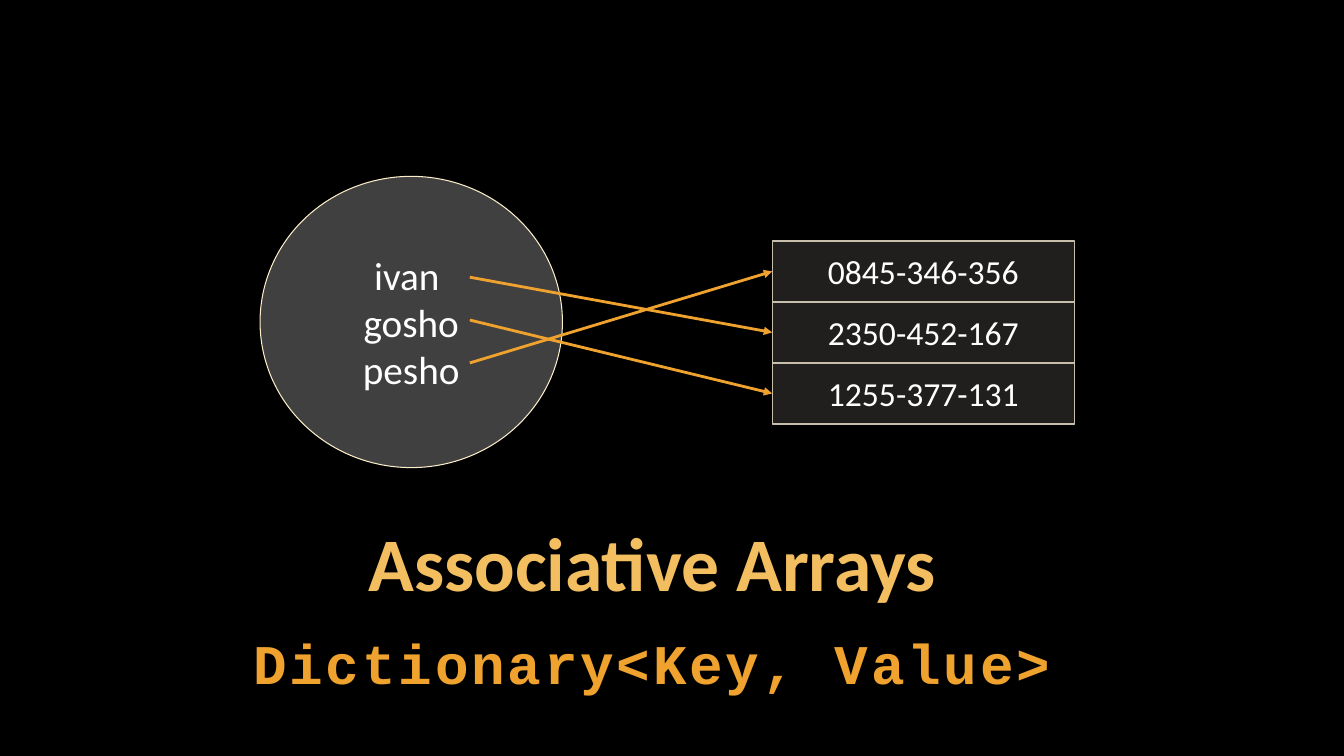
"""Build the slide on associative arrays: names mapped to phone numbers."""
from dataclasses import dataclass

from lxml.etree import SubElement
from pptx import Presentation
from pptx.dml.color import RGBColor as Rgb
from pptx.enum.shapes import MSO_CONNECTOR as Connector, MSO_SHAPE as Preset
from pptx.enum.text import MSO_ANCHOR as Anchor, MSO_AUTO_SIZE as AutoSize, PP_ALIGN as Align
from pptx.oxml.ns import qn
from pptx.util import Inches, Pt

SLIDE_W, SLIDE_H = Inches(13.33), Inches(7.5)
SECTION_LAYOUT = 2
KEYS = ["ivan ", "gosho", "pesho"]
VALUES = ["0845-346-356", "2350-452-167", "1255-377-131"]
VALUE_OF_KEY = [1, 2, 0]

HEADING_X, HEADING_W = 11.85, 73.37
COLUMN_W, VALUES_X = 22.5, 57.46
VALUES_Y, VALUE_H = 31.87, 8.07
KEYS_Y, KEY_STEP = 36.67, 5.67


@dataclass(frozen=True)
class Theme:
    """Colours, fonts and type sizes of the slide."""
    background: str = "000000"
    title: str = "F3BE60"
    accent: str = "F0A22E"
    text: str = "FFFFFF"
    key_fill: str = "808080"
    key_line: str = "FBEEC9"
    value_fill: str = "D9D5C7"
    value_line: str = "C7BFAC"
    sans: str = "Calibri"
    mono: str = "Courier New"
    title_size: int = 54
    code_size: int = 40
    key_size: int = 28
    value_size: int = 24


THEME = Theme()


def across(percent):
    """Return a share of the slide's width."""
    return round(SLIDE_W * percent / 100)


def down(percent):
    """Return a share of the slide's height."""
    return round(SLIDE_H * percent / 100)


def write(frame, lines, size, color, face=THEME.sans, bold=False):
    """Fill a text frame with centred lines of one style."""
    frame.word_wrap = True
    frame.auto_size = AutoSize.NONE
    frame.text = "\n".join(lines)
    for paragraph in frame.paragraphs:
        paragraph.alignment = Align.CENTER
        font = paragraph.font
        font.name, font.size, font.bold = face, Pt(size), bold
        font.color.rgb = Rgb.from_string(color)


def set_insets(frame, side, edge):
    """Set the side and the top and bottom margins in inches."""
    frame.margin_left = frame.margin_right = Inches(side)
    frame.margin_top = frame.margin_bottom = Inches(edge)


def fill_heading(placeholder, top, height, anchor, line, style, spacing, trait):
    """Move a heading placeholder, write its line and return the paragraph."""
    placeholder.left, placeholder.top = across(HEADING_X), down(top)
    placeholder.width, placeholder.height = across(HEADING_W), down(height)
    frame = placeholder.text_frame
    write(frame, [line], *style, bold=True)
    set_insets(frame, 0.04, 0.04)
    frame.vertical_anchor = anchor
    paragraph = frame.paragraphs[0]
    paragraph.line_spacing = spacing
    paragraph.space_before = Pt(0)
    paragraph.runs[0]._r.get_or_add_rPr().set(*trait)
    return paragraph


def add_panel(slide, preset, box, fill, opacity, outline, weight):
    """Add a translucent outlined shape and return its text frame."""
    x, y, width, height = box
    panel = slide.shapes.add_shape(preset, across(x), down(y), across(width), down(height))
    panel.shadow.inherit = False
    panel.fill.solid()
    panel.fill.fore_color.rgb = Rgb.from_string(fill)
    tint = panel._element.spPr.find(qn("a:solidFill"))[0]
    SubElement(tint, qn("a:alpha")).set("val", str(opacity * 1000))
    panel.line.color.rgb = Rgb.from_string(outline)
    panel.line.width = Pt(weight)
    return panel.text_frame


def add_arrow(slide, start_y, end_y):
    """Link a key's height to a value's height with an arrow."""
    arrow = slide.shapes.add_connector(
        Connector.STRAIGHT, across(VALUES_X - COLUMN_W), down(start_y), across(VALUES_X), down(end_y))
    arrow.line.color.rgb = Rgb.from_string(THEME.accent)
    arrow.line.width = Pt(2)
    SubElement(arrow.line._get_or_add_ln(), qn("a:tailEnd")).set("type", "triangle")
    SubElement(arrow._element.spPr, qn("a:effectLst"))


def add_value(slide, row, number):
    """Add one phone number cell of the value column."""
    box = (VALUES_X, VALUES_Y + row * VALUE_H, COLUMN_W, VALUE_H)
    frame = add_panel(slide, Preset.RECTANGLE, box, THEME.value_fill, 15, THEME.value_line, 1)
    write(frame, [number], THEME.value_size, THEME.text)
    set_insets(frame, 0.2, 0.1)
    frame.vertical_anchor = Anchor.TOP


def main():
    """Compose and save the slide."""
    deck = Presentation()
    deck.slide_width, deck.slide_height = SLIDE_W, SLIDE_H
    slide = deck.slides.add_slide(deck.slide_layouts[SECTION_LAYOUT])
    slide.background.fill.solid()
    slide.background.fill.fore_color.rgb = Rgb.from_string(THEME.background)

    fill_heading(slide.shapes.title, 69.47, 11.33, Anchor.BOTTOM, "Associative Arrays",
                 (THEME.title_size, THEME.title), Pt(54), ("cap", "none"))
    declaration = fill_heading(slide.placeholders[1], 82.13, 10, Anchor.TOP, "Dictionary<Key, Value>",
                               (THEME.code_size, THEME.accent, THEME.mono), 1.05, ("spc", "200"))
    declaration.space_after = Pt(6)

    key_box = (19.35, 23.33, COLUMN_W, 38.53)
    key_set = add_panel(slide, Preset.OVAL, key_box, THEME.key_fill, 50, THEME.key_line, 0.75)
    write(key_set, KEYS, THEME.key_size, THEME.text)
    key_set.vertical_anchor = Anchor.MIDDLE

    for key, value in enumerate(VALUE_OF_KEY):
        add_arrow(slide, KEYS_Y + key * KEY_STEP, VALUES_Y + (value + 0.5) * VALUE_H)
    for row, number in enumerate(VALUES):
        add_value(slide, row, number)
    deck.save("out.pptx")


if __name__ == "__main__":
    main()
